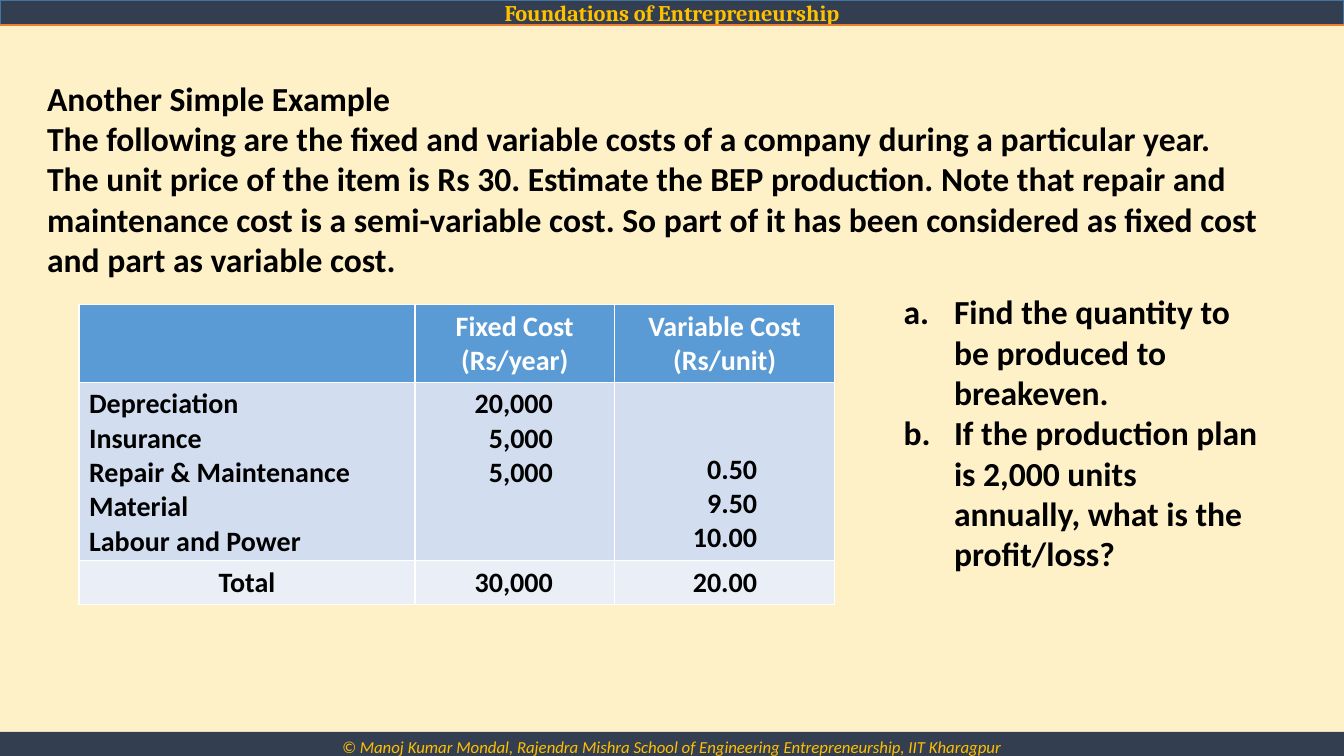
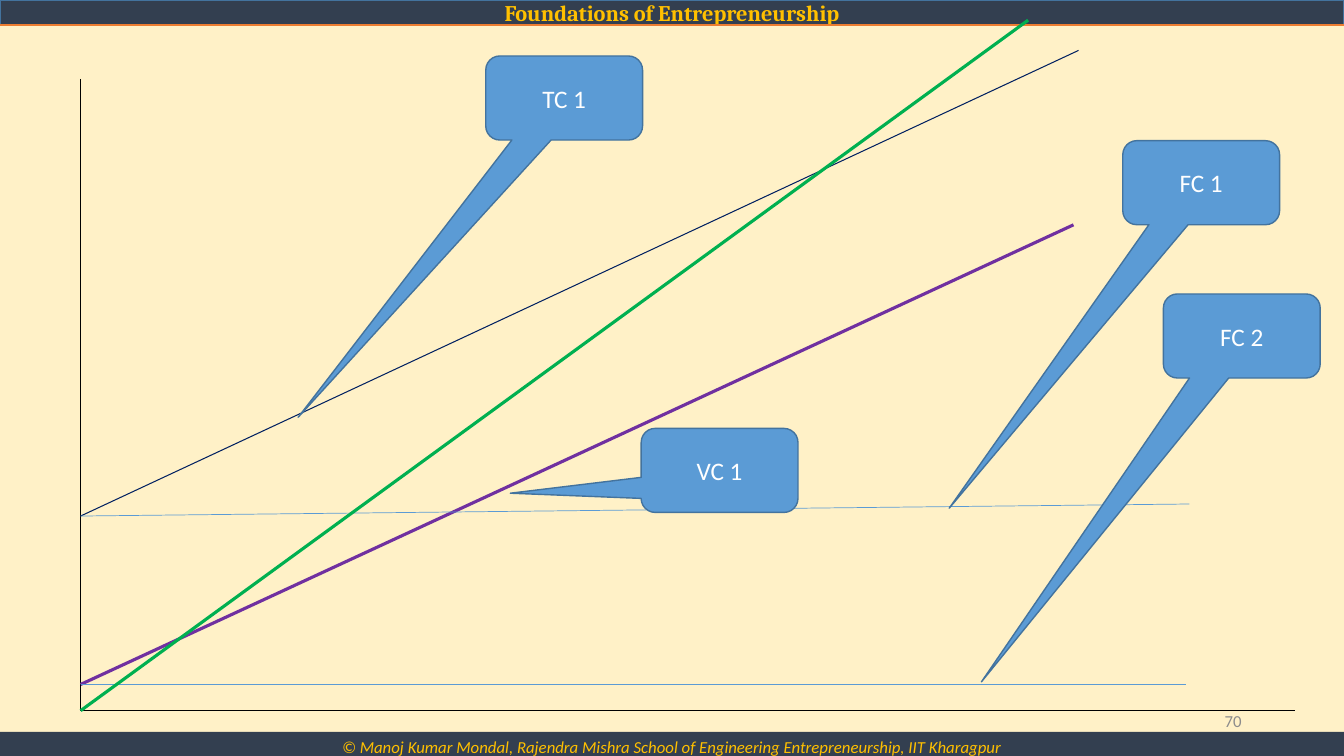
import dataclasses
from typing import Optional

import lxml.etree
import pptx
import pptx.dml.color
import pptx.enum.shapes
import pptx.enum.text
import pptx.oxml.ns
import pptx.presentation
import pptx.slide
import pptx.text.text
import pptx.util

Pt = pptx.util.Pt
Align = pptx.enum.text.PP_ALIGN
Anchor = pptx.enum.text.MSO_ANCHOR
Shape = pptx.enum.shapes.MSO_SHAPE
Link = pptx.enum.shapes.MSO_CONNECTOR
qn = pptx.oxml.ns.qn

WIDE, HIGH = 960, 540
BASE_X, BASE_Y = 57.6, 507.6
COLORS = {
    "back": "FFF1C7",
    "band": "333F50",
    "gold": "FFC000",
    "rule": "ED7D31",
    "blue": "5B9BD5",
    "edge": "43739E",
    "light": "D2DEEF",
    "pale": "EAEFF7",
    "white": "FFFFFF",
    "black": "000000",
    "gray": "8C8C8C",
    "plum": "7030A0",
    "navy": "002060",
    "green": "00B050",
}


@dataclasses.dataclass(frozen=True)
class Style:
    size: float
    color: str
    bold: bool = False
    slant: bool = False
    face: str = "Calibri"
    align: Align = Align.LEFT


@dataclasses.dataclass(frozen=True)
class Box:
    left: float
    top: float
    width: float
    height: float


@dataclasses.dataclass(frozen=True)
class Line:
    x1: float
    y1: float
    x2: float
    y2: float
    color: str
    weight: float


@dataclasses.dataclass(frozen=True)
class Callout:
    label: str
    left: float
    top: float
    tip_x: float
    tip_y: float
    width: float = 112
    height: float = 60


@dataclasses.dataclass(frozen=True)
class Row:
    height: float
    fill: str
    color: str
    cells: tuple[str, ...]
    aligns: tuple[Align, ...]


HEAD = Style(16, "gold", bold=True, face="Cambria", align=Align.CENTER)
FOOT = Style(12, "gold", slant=True, align=Align.CENTER)
BODY = Style(24, "black", bold=True)
LABEL = Style(18, "white", align=Align.CENTER)
NUMBER = Style(12, "gray", align=Align.RIGHT)

FIGURES = (Align.LEFT, Align.RIGHT, Align.RIGHT)
COLS = (240, 142.6, 157.4)
INSETS = (7.2, 44, 55.5)
ROWS = (
    Row(55.5, "blue", "white",
        ("", "Fixed Cost (Rs/year)", "Variable Cost\n(Rs/unit)"),
        (Align.CENTER,) * 3),
    Row(127, "light", "black",
        ("Depreciation\nInsurance\nRepair & Maintenance\nMaterial\nLabour and Power",
         "20,000\n5,000\n5,000", "0.50\n9.50\n10.00"), FIGURES),
    Row(31.5, "pale", "black", ("Total", "30,000", "20.00"),
        (Align.CENTER, Align.RIGHT, Align.RIGHT)),
)

LINES = (
    Line(BASE_X, 488.9, 766.8, 160.6, "plum", 2.25),
    Line(BASE_X, 368.6, 770.4, 36, "navy", 0.75),
    Line(BASE_X, 368.6, 849.6, 360, "blue", 0.5),
    Line(BASE_X, 488.9, 847.4, 488.9, "blue", 0.5),
    Line(BASE_X, BASE_Y, 734.4, 14.4, "green", 2.25),
)
CALLOUTS = (
    Callout("FC 1", 802, 100.5, 678, 363),
    Callout("FC 2", 831, 210, 701, 487),
    Callout("TC 1", 347, 40, 213, 298),
    Callout("VC 1", 458, 306, 364.5, 352.3),
)


def tint(name: str) -> pptx.dml.color.RGBColor:
    return pptx.dml.color.RGBColor.from_string(COLORS[name])


def write(frame: pptx.text.text.TextFrame, text: str, style: Style) -> None:
    frame.text = text
    for para in frame.paragraphs:
        para.alignment = style.align
        for run in para.runs:
            font = run.font
            font.name = style.face
            font.size = Pt(style.size)
            font.bold = style.bold
            font.italic = style.slant
            font.color.rgb = tint(style.color)


def add_text(slide: pptx.slide.Slide, box: Box, text: str, style: Style,
             anchor: Anchor = Anchor.TOP) -> pptx.text.text.TextFrame:
    item = slide.shapes.add_textbox(
        Pt(box.left), Pt(box.top), Pt(box.width), Pt(box.height))
    frame = item.text_frame
    frame.word_wrap = True
    frame.vertical_anchor = anchor
    write(frame, text, style)
    return frame


def add_block(slide: pptx.slide.Slide, kind: Shape, box: Box, fill: str,
              edge: Optional[str], text: str, style: Style,
              anchor: Anchor = Anchor.MIDDLE):
    item = slide.shapes.add_shape(
        kind, Pt(box.left), Pt(box.top), Pt(box.width), Pt(box.height))
    item.shadow.inherit = False
    item.fill.solid()
    item.fill.fore_color.rgb = tint(fill)
    if edge:
        item.line.color.rgb = tint(edge)
        item.line.width = Pt(1)
    else:
        item.line.fill.background()
    item.text_frame.vertical_anchor = anchor
    write(item.text_frame, text, style)
    return item


def add_line(slide: pptx.slide.Slide, line: Line, kind: Link = Link.STRAIGHT):
    item = slide.shapes.add_connector(
        kind, Pt(line.x1), Pt(line.y1), Pt(line.x2), Pt(line.y2))
    item.line.color.rgb = tint(line.color)
    item.line.width = Pt(line.weight)
    lxml.etree.SubElement(item.element.spPr, qn("a:effectLst"))
    return item


def add_axes(slide: pptx.slide.Slide) -> None:
    line = Line(BASE_X, 56.4, 925.2, BASE_Y, "black", 0.5)
    item = add_line(slide, line, Link.ELBOW)
    geom = item.element.spPr.find(qn("a:prstGeom"))
    guides = geom.find(qn("a:avLst"))
    if guides is None:
        guides = lxml.etree.SubElement(geom, qn("a:avLst"))
    lxml.etree.SubElement(guides, qn("a:gd"), name="adj1", fmla="val 0")


def add_callout(slide: pptx.slide.Slide, note: Callout) -> None:
    box = Box(note.left, note.top, note.width, note.height)
    item = add_block(slide, Shape.ROUNDED_RECTANGULAR_CALLOUT, box,
                     "blue", "edge", note.label, LABEL)
    item.adjustments[0] = (note.tip_x - note.left) / note.width - 0.5
    item.adjustments[1] = (note.tip_y - note.top) / note.height - 0.5


def add_grid(cell) -> None:
    props = cell._tc.get_or_add_tcPr()
    for spot, side in enumerate(("lnL", "lnR", "lnT", "lnB")):
        edge = lxml.etree.Element(qn(f"a:{side}"), w=str(Pt(1)))
        fill = lxml.etree.SubElement(edge, qn("a:solidFill"))
        lxml.etree.SubElement(fill, qn("a:srgbClr"), val=COLORS["white"])
        props.insert(spot, edge)


def add_costs(slide: pptx.slide.Slide) -> None:
    height = sum(row.height for row in ROWS)
    table = slide.shapes.add_table(
        len(ROWS), len(COLS), Pt(56.4), Pt(217.5), Pt(sum(COLS)), Pt(height)).table
    for col, width in zip(table.columns, COLS):
        col.width = Pt(width)
    for y, row in enumerate(ROWS):
        table.rows[y].height = Pt(row.height)
        for x, (text, align) in enumerate(zip(row.cells, row.aligns)):
            cell = table.cell(y, x)
            cell.fill.solid()
            cell.fill.fore_color.rgb = tint(row.fill)
            add_grid(cell)
            if align == Align.RIGHT:
                cell.margin_right = Pt(INSETS[x])
            if y == 1 and x == 2:
                cell.vertical_anchor = Anchor.BOTTOM
            write(cell.text_frame, text, Style(20, row.color, bold=True, align=align))


def add_tasks(slide: pptx.slide.Slide) -> None:
    text = ("Find the quantity to be produced to breakeven.\n"
            "If the production plan is 2,000 units annually, what is the profit/loss?")
    frame = add_text(slide, Box(638.4, 204.5, 268.6, 239.8), text, BODY)
    for para in frame.paragraphs:
        props = para._p.get_or_add_pPr()
        props.set("marL", str(Pt(36)))
        props.set("indent", str(-Pt(36)))
        lxml.etree.SubElement(props, qn("a:buFont"), typeface="+mj-lt")
        lxml.etree.SubElement(props, qn("a:buAutoNum"), type="alphaLcPeriod")


def add_slide(deck: pptx.presentation.Presentation) -> pptx.slide.Slide:
    slide = deck.slides.add_slide(deck.slide_layouts[6])
    slide.background.fill.solid()
    slide.background.fill.fore_color.rgb = tint("back")
    add_block(slide, Shape.RECTANGLE, Box(0, 0, WIDE, 18), "band", "edge",
              "Foundations of Entrepreneurship", HEAD)
    add_line(slide, Line(0, 18, WIDE, 18, "rule", 1.5))
    add_block(slide, Shape.RECTANGLE, Box(0, 522.8, WIDE, 21.8), "band", None,
              "© Manoj Kumar Mondal, Rajendra Mishra School of Engineering "
              "Entrepreneurship, IIT Kharagpur", FOOT, Anchor.TOP)
    return slide


def add_sample(deck: pptx.presentation.Presentation) -> None:
    slide = add_slide(deck)
    text = ("Another Simple Example\n"
            "The following are the fixed and variable costs of a company during a "
            "particular year. The unit price of the item is Rs 30. Estimate the BEP "
            "production. Note that repair and maintenance cost is a semi-variable "
            "cost. So part of it has been considered as fixed cost and part as "
            "variable cost.")
    add_text(slide, Box(26.6, 51.8, 880.6, 152.6), text, BODY)
    add_costs(slide)
    add_tasks(slide)


def add_graph(deck: pptx.presentation.Presentation) -> None:
    slide = add_slide(deck)
    add_text(slide, Box(678, 500.5, 216, 28.8), "70", NUMBER, Anchor.MIDDLE)
    add_axes(slide)
    for line in LINES:
        add_line(slide, line)
    for note in CALLOUTS:
        add_callout(slide, note)


def main() -> None:
    deck = pptx.Presentation()
    deck.slide_width = Pt(WIDE)
    deck.slide_height = Pt(HIGH)
    add_sample(deck)
    add_graph(deck)
    deck.save("out.pptx")


if __name__ == "__main__":
    main()
